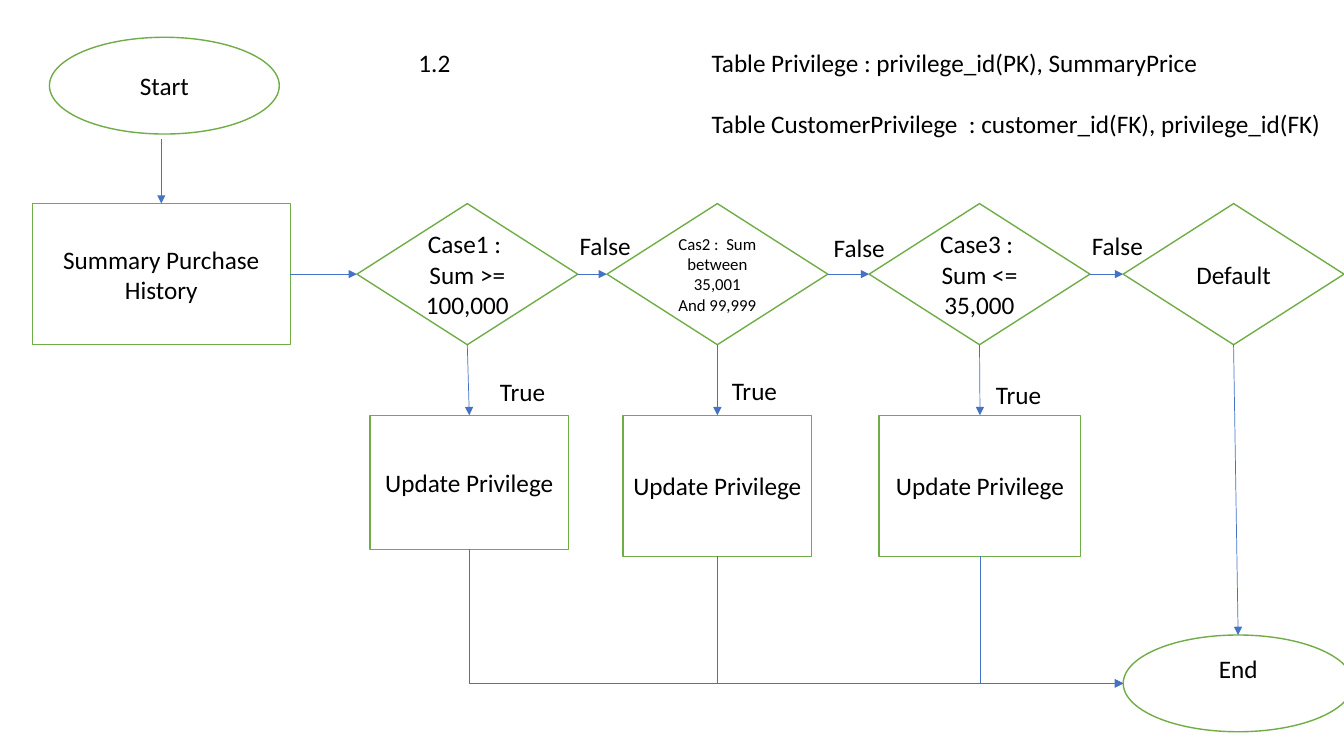
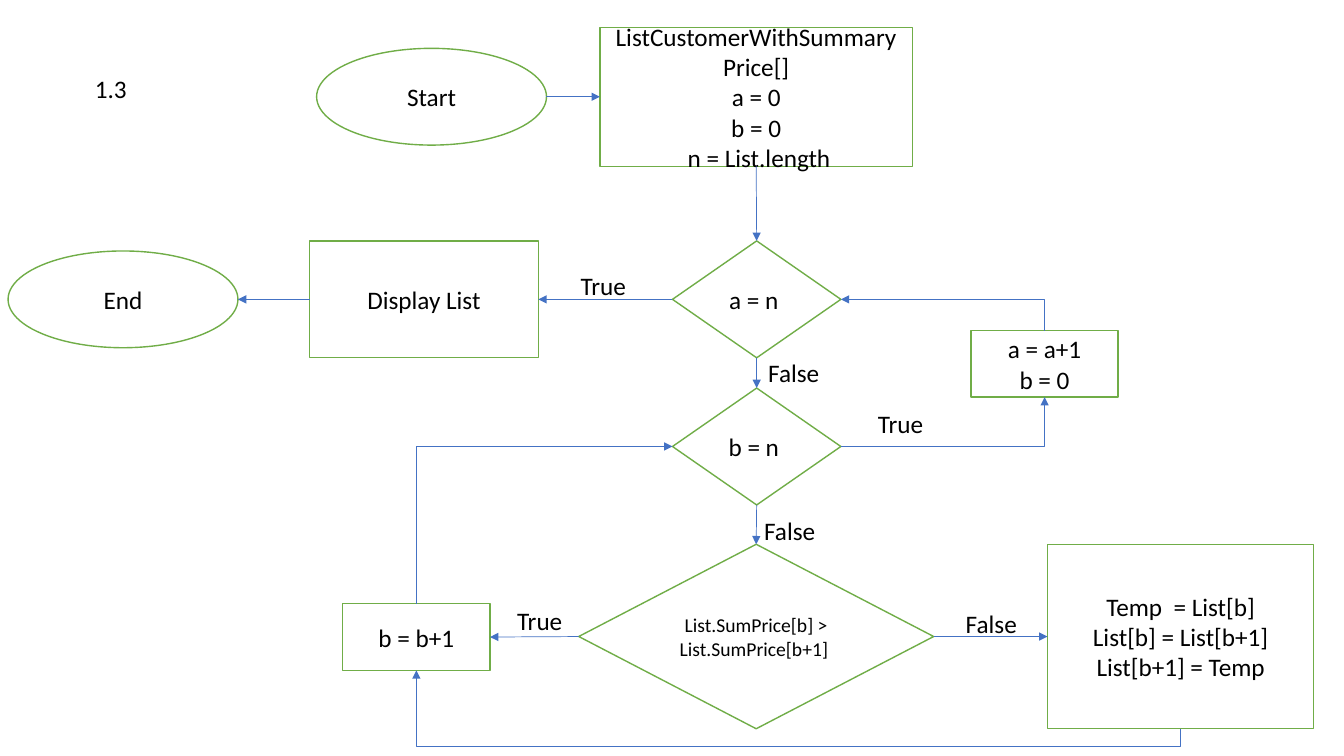
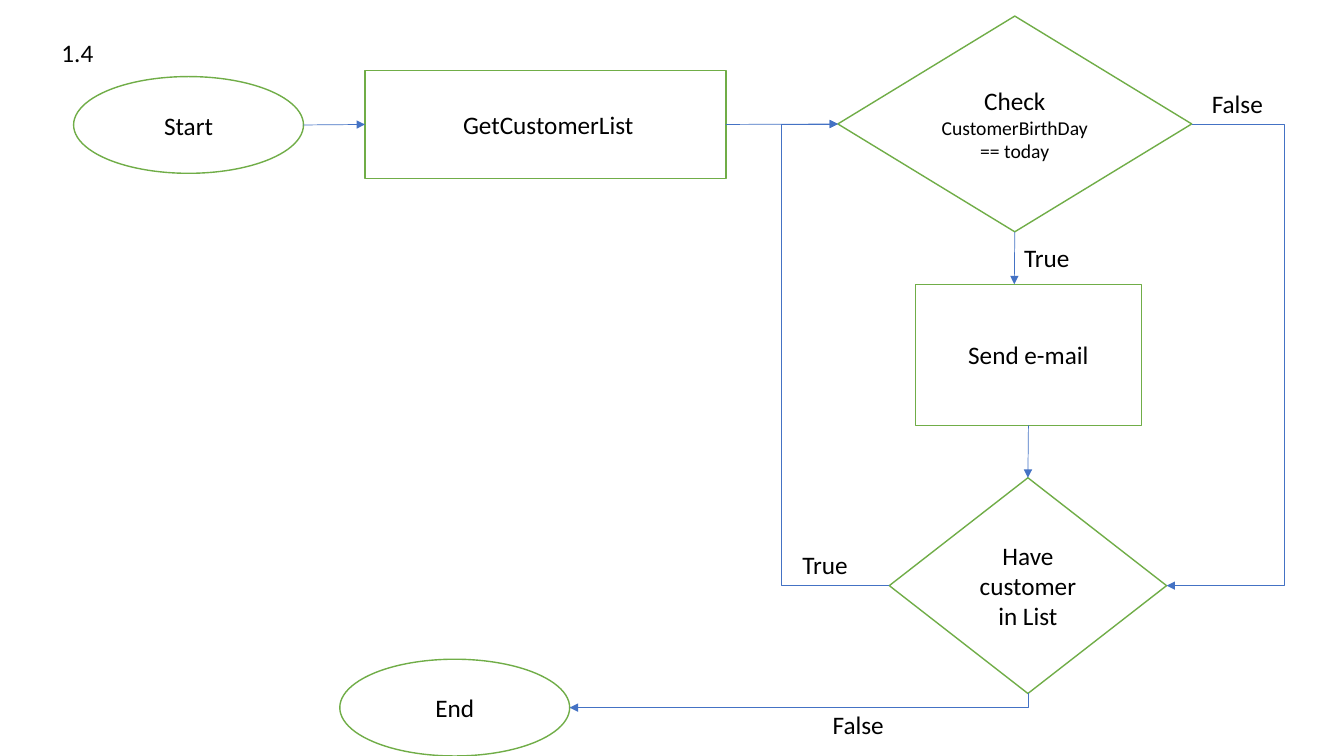
from lxml import etree
from pptx import Presentation
from pptx.dml.color import RGBColor
from pptx.enum.shapes import MSO_CONNECTOR, MSO_SHAPE
from pptx.enum.text import MSO_ANCHOR, MSO_AUTO_SIZE, PP_ALIGN
from pptx.oxml.ns import qn
from pptx.util import Inches, Pt

OVAL, BOX, DIAMOND = MSO_SHAPE.OVAL, MSO_SHAPE.RECTANGLE, MSO_SHAPE.DIAMOND
STRAIGHT, ELBOW = MSO_CONNECTOR.STRAIGHT, MSO_CONNECTOR.ELBOW
TOP_ANCHOR, MIDDLE_ANCHOR = MSO_ANCHOR.TOP, MSO_ANCHOR.MIDDLE
LEFT_ALIGN, CENTER_ALIGN = PP_ALIGN.LEFT, PP_ALIGN.CENTER
NO_AUTOFIT = MSO_AUTO_SIZE.NONE

GREEN = RGBColor(0x70, 0xAD, 0x47)
BLUE = RGBColor(0x44, 0x72, 0xC4)
WHITE = RGBColor(0xFF, 0xFF, 0xFF)
BLACK = RGBColor(0x00, 0x00, 0x00)
FONT = "Calibri"
TITLE_ONLY = 5
TOP, LEFT, BOTTOM, RIGHT = range(4)

TERMINAL = (2.28, 0.96)
DECISION = (2.19, 1.4)
TEST = (1.67, 1.16)
STEP = (1.46, 0.66)
LABEL_WIDTHS = {"True": 0.66, "False": 0.71}
LABEL_HEIGHT = 0.4
TITLE_WIDTH = 0.52

# Rotation, horizontal flip, vertical flip, by (starts vertical, goes right, goes down)
ELBOW_TURNS = {
    (False, True, True): (0, False, False),
    (False, True, False): (0, False, True),
    (False, False, True): (0, True, False),
    (False, False, False): (180, False, False),
    (True, True, True): (270, True, False),
    (True, True, False): (90, True, True),
    (True, False, True): (90, False, False),
    (True, False, False): (90, True, False),
}

# nodes: name -> (kind, (left, top), (width, height), lines, text format)
# arrows: begin, side, end, side; a pair of numbers stands for a free point
# elbows: begin, side, end, side, lane of the middle stretch (None for one bend)
SLIDES = [
    {
        "title": ("1.2", 4.05, 0.42),
        "nodes": {
            "start": (OVAL, (0.49, 0.37), TERMINAL, ["Start"], {}),
            "summary": (BOX, (0.32, 2.02), (2.56, 1.4), ["Summary Purchase History"], {}),
            "case1": (DIAMOND, (3.54, 2.02), DECISION, ["Case1 :  Sum >= 100,000"], {}),
            "case2": (DIAMOND, (6.02, 2.02), DECISION,
                      ["Cas2 :  Sum between 35,001", "And 99,999"], {"size": 12}),
            "case3": (DIAMOND, (8.62, 2.02), DECISION, ["Case3 :  Sum <= 35,000"], {}),
            "default": (DIAMOND, (11.14, 2.02), DECISION, ["Default"], {}),
            "update1": (BOX, (3.67, 4.12), (1.97, 1.33), ["Update Privilege"], {}),
            "update2": (BOX, (6.18, 4.12), (1.87, 1.4), ["Update Privilege"], {}),
            "update3": (BOX, (8.72, 4.12), (2, 1.4), ["Update Privilege"], {}),
            "end": (OVAL, (11.14, 6.3), TERMINAL, ["End"], {"bottom_inset": 0.35}),
        },
        "arrows": [
            ((1.6, 1.38), None, "summary", TOP),
            ("summary", RIGHT, "case1", LEFT),
            ("case1", RIGHT, "case2", LEFT),
            ("case2", RIGHT, "case3", LEFT),
            ("case3", RIGHT, "default", LEFT),
            ("case1", BOTTOM, "update1", TOP),
            ("case2", BOTTOM, "update2", TOP),
            ("case3", BOTTOM, "update3", TOP),
            ("default", BOTTOM, "end", TOP),
        ],
        "elbows": [
            ("update1", BOTTOM, "end", LEFT, None),
            ("update2", BOTTOM, "end", LEFT, None),
            ("update3", BOTTOM, "end", LEFT, None),
        ],
        "labels": [
            ("True", 4.86, 3.68), ("True", 7.16, 3.67), ("True", 9.78, 3.71),
            ("False", 5.65, 2.24), ("False", 8.17, 2.26), ("False", 10.73, 2.24),
        ],
        "tables": ["Table Privilege : privilege_id(PK), SummaryPrice",
                   "Table CustomerPrivilege  : customer_id(FK), privilege_id(FK)"],
    },
    {
        "title": ("1.3", 0.84, 0.68),
        "nodes": {
            "start": (OVAL, (3.14, 0.48), TERMINAL, ["Start"], {}),
            "setup": (BOX, (5.95, 0.27), (3.1, 1.38),
                      ["ListCustomerWithSummaryPrice[]", "a = 0", "b = 0",
                       " n = List.length"], {}),
            "compare": (DIAMOND, (5.74, 5.4), (3.52, 1.83),
                        ["List.SumPrice[b] > List.SumPrice[b+1] "], {"size": 14}),
            "inner": (DIAMOND, (6.67, 3.85), TEST, ["b = n "], {}),
            "end": (OVAL, (0.08, 2.49), TERMINAL, ["End"], {}),
            "outer": (DIAMOND, (6.67, 2.39), TEST, ["a = n "], {}),
            "next_a": (BOX, (9.63, 3.28), STEP, ["a = a+1", "b = 0"], {}),
            "next_b": (BOX, (3.4, 5.99), STEP, ["b = b+1"], {}),
            "display": (BOX, (3.07, 2.39), (2.27, 1.16), ["Display List"], {}),
            "swap": (BOX, (10.39, 5.4), (2.64, 1.83),
                     ["Temp  = List[b]", "List[b] = List[b+1]", "List[b+1] = Temp"], {}),
        },
        "arrows": [
            ("start", RIGHT, "setup", LEFT),
            ("setup", BOTTOM, "outer", TOP),
            ("outer", BOTTOM, "inner", TOP),
            ("outer", LEFT, "display", RIGHT),
            ("display", LEFT, "end", RIGHT),
            ("inner", BOTTOM, "compare", TOP),
            ("compare", LEFT, "next_b", RIGHT),
            ("compare", RIGHT, "swap", LEFT),
        ],
        "elbows": [
            ("inner", RIGHT, "next_a", BOTTOM, None),
            ("next_a", TOP, "outer", RIGHT, None),
            ("next_b", TOP, "inner", LEFT, None),
            ("swap", BOTTOM, "next_b", BOTTOM, 7.4),
        ],
        "labels": [
            ("True", 5.66, 2.63), ("True", 8.61, 4), ("True", 5.03, 5.96),
            ("False", 9.48, 5.99), ("False", 7.52, 3.5), ("False", 7.48, 5.06),
        ],
    },
    {
        "title": ("1.4", 0.51, 0.32),
        "nodes": {
            "end": (OVAL, (3.37, 6.54), TERMINAL, ["End"], {}),
            "get_list": (BOX, (3.62, 0.7), (3.58, 1.07), [" GetCustomerList"], {}),
            "check": (DIAMOND, (8.31, 0.16), (3.51, 2.14),
                      ["Check", "CustomerBirthDay == today"], {"later_size": 14}),
            "send": (BOX, (9.08, 2.82), (2.24, 1.4), ["Send e-mail"], {}),
            "more": (DIAMOND, (8.82, 4.74), (2.75, 2.14), ["Have customer in List"], {}),
            "start": (OVAL, (0.73, 0.76), TERMINAL, ["Start"], {}),
        },
        "arrows": [
            ("start", RIGHT, "get_list", LEFT),
            ("get_list", RIGHT, "check", LEFT),
            ("check", BOTTOM, (10.06, 2.82), None),
            ("send", BOTTOM, "more", TOP),
        ],
        "elbows": [
            ("check", RIGHT, "more", RIGHT, 12.74),
            ("more", LEFT, "check", LEFT, 7.75),
            ("more", BOTTOM, "end", RIGHT, None),
        ],
        "labels": [
            ("True", 10.06, 2.36), ("True", 7.86, 5.4),
            ("False", 11.92, 0.83), ("False", 8.16, 6.99),
        ],
    },
]


def write_text(shape, lines, size=18, later_size=None, align=LEFT_ALIGN, anchor=TOP_ANCHOR,
               wrap=False, gap=0, bottom_inset=0.05):
    """Fill a shape with one paragraph a line; later_size applies after the first."""
    frame = shape.text_frame
    frame.auto_size = NO_AUTOFIT
    frame.word_wrap = wrap
    frame.vertical_anchor = anchor
    frame.margin_left = frame.margin_right = Inches(0.1)
    frame.margin_top = Inches(0.05)
    frame.margin_bottom = Inches(bottom_inset)
    for index, line in enumerate(lines):
        para = frame.add_paragraph() if index else frame.paragraphs[0]
        para.alignment = align
        para.line_spacing = 1.0
        para.space_before = Pt(gap if index else 0)
        span = para.add_run()
        span.text = line
        span.font.name = FONT
        span.font.size = Pt(later_size if index and later_size else size)
        span.font.color.rgb = BLACK


def place(shape, left, top, width, height):
    shape.left, shape.top = Inches(left), Inches(top)
    shape.width, shape.height = Inches(width), Inches(height)


def add_node(page, kind, corner, extent, lines, text_format):
    node = page.shapes.add_shape(kind, *map(Inches, corner + extent))
    node.shadow.inherit = False
    node.fill.solid()
    node.fill.fore_color.rgb = WHITE
    node.line.color.rgb = GREEN
    node.line.width = Pt(1)
    write_text(node, lines, align=CENTER_ALIGN, anchor=MIDDLE_ANCHOR, wrap=True, **text_format)
    return node


def add_label(page, text, left, top):
    label = page.shapes.add_textbox(*map(Inches, (left, top, LABEL_WIDTHS[text], LABEL_HEIGHT)))
    write_text(label, [text])


def add_link(page, nodes, kind, begin, begin_side, end, end_side):
    """Draw an arrow between two node sides or free points."""
    link = page.shapes.add_connector(kind, 0, 0, 0, 0)
    if begin in nodes:
        link.begin_connect(nodes[begin], begin_side)
    else:
        link.begin_x, link.begin_y = map(Inches, begin)
    if end in nodes:
        link.end_connect(nodes[end], end_side)
    else:
        link.end_x, link.end_y = map(Inches, end)
    # An ellipse has eight connection sites, so its side numbers are doubled
    for name, side, tag in ((begin, begin_side, "a:stCxn"), (end, end_side, "a:endCxn")):
        if name in nodes and nodes[name].auto_shape_type == OVAL:
            next(link._element.iter(qn(tag))).set("idx", str(side * 2))
    link.line.color.rgb = BLUE
    link.line.width = Pt(0.5)
    properties = link._element.spPr
    etree.SubElement(properties.find(qn("a:ln")), qn("a:tailEnd"), type="triangle")
    etree.SubElement(properties, qn("a:effectLst"))
    return link


def bend(link, vertical, lane):
    """Turn an elbow so that it leaves its start along the given axis."""
    begin, end = (link.begin_x, link.begin_y), (link.end_x, link.end_y)
    across, down = end[0] - begin[0], end[1] - begin[1]
    rotation, flip_h, flip_v = ELBOW_TURNS[vertical, across > 0, down > 0]
    width, height = abs(across), abs(down)
    if vertical:
        width, height = height, width
    link.left = (begin[0] + end[0] - width) // 2
    link.top = (begin[1] + end[1] - height) // 2
    link.width, link.height = width, height
    frame = link._element.spPr.find(qn("a:xfrm"))
    frame.set("rot", str(rotation * 60000))
    frame.set("flipH", str(int(flip_h)))
    frame.set("flipV", str(int(flip_v)))

    geometry = link._element.spPr.find(qn("a:prstGeom"))
    if lane is None:
        geometry.set("prst", "bentConnector2")
        return
    axis = int(vertical)
    share = (Inches(lane) - begin[axis]) / (end[axis] - begin[axis])
    guides = geometry.find(qn("a:avLst"))
    if guides is None:
        guides = etree.SubElement(geometry, qn("a:avLst"))
    etree.SubElement(guides, qn("a:gd"), name="adj1", fmla=f"val {round(share * 100000)}")


def add_flowchart(deck, content):
    page = deck.slides.add_slide(deck.slide_layouts[TITLE_ONLY])
    text, left, top = content["title"]
    title = page.shapes.title
    place(title, left, top, TITLE_WIDTH, LABEL_HEIGHT)
    write_text(title, [text])

    nodes = {name: add_node(page, *node) for name, node in content["nodes"].items()}
    for arrow in content["arrows"]:
        add_link(page, nodes, STRAIGHT, *arrow)
    for *ends, lane in content["elbows"]:
        link = add_link(page, nodes, ELBOW, *ends)
        bend(link, ends[1] in (TOP, BOTTOM), lane)
    for label in content["labels"]:
        add_label(page, *label)
    if "tables" in content:
        tables = page.shapes.add_textbox(*map(Inches, (6.96, 0.42, 6.31, 1.31)))
        write_text(tables, content["tables"], gap=22)


def main():
    deck = Presentation()
    deck.slide_width, deck.slide_height = Inches(13.33), Inches(7.5)
    for content in SLIDES:
        add_flowchart(deck, content)
    deck.save("out.pptx")


if __name__ == "__main__":
    main()
